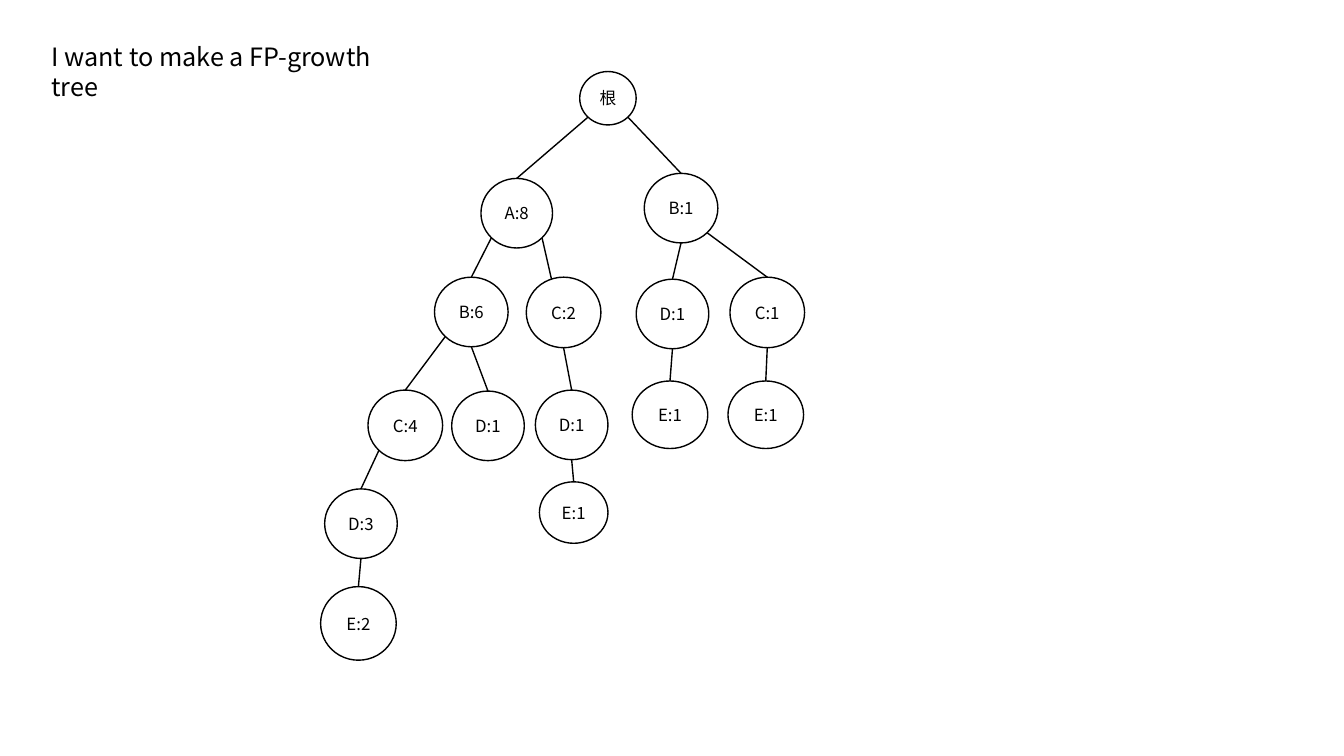
from dataclasses import dataclass
from math import cos, pi, sin
from typing import Optional

from lxml.etree import SubElement
from pptx import Presentation
from pptx.dml.color import RGBColor
from pptx.enum.shapes import MSO_CONNECTOR, MSO_SHAPE
from pptx.enum.text import MSO_ANCHOR, MSO_AUTO_SIZE, PP_ALIGN
from pptx.oxml.ns import qn
from pptx.shapes.autoshape import Shape
from pptx.slide import Slide
from pptx.text.text import TextFrame
from pptx.util import Inches, Pt


@dataclass(frozen=True)
class Theme:
    """Colours, font and type sizes of the slide."""
    ink: RGBColor = RGBColor(0, 0, 0)
    paper: RGBColor = RGBColor(255, 255, 255)
    font: str = "Noto Sans CJK SC"
    title: Pt = Pt(18)
    label: Pt = Pt(12)
    line: Pt = Pt(1)


@dataclass(frozen=True)
class Node:
    """A tree node, the site its edge leaves the parent from, and its children."""
    label: str
    left: float
    top: float
    site: int = 4
    kids: tuple["Node", ...] = ()
    size: Optional[tuple[float, float]] = None
    land: Optional[tuple[float, float]] = None


THEME = Theme()
TOP, LEFT, RIGHT = 0, 3, 5
SIZES = {"A": (0.71, 0.69), "B": (0.73, 0.69), "C": (0.74, 0.7),
         "D": (0.72, 0.69), "E": (0.75, 0.67)}

TREE = Node("根", 5.75, 0.71, size=(0.56, 0.53), kids=(
    Node("A:8", 4.77, 1.77, LEFT, (
        Node("B:6", 4.31, 2.75, LEFT, (
            Node("C:4", 3.65, 3.87, LEFT, (
                Node("D:3", 3.22, 4.85, LEFT, (
                    Node("E:2", 3.18, 5.82, size=(0.75, 0.73)),)),)),
            Node("D:1", 4.48, 3.88))),
        Node("C:2", 5.22, 2.75, RIGHT, (
            Node("D:1", 5.31, 3.87, kids=(
                Node("E:1", 5.35, 4.78, size=(0.68, 0.61)),)),),
            land=(5.47, 2.77)))),
    Node("B:1", 6.39, 1.72, RIGHT, (
        Node("D:1", 6.31, 2.77, kids=(Node("E:1", 6.27, 3.78),)),
        Node("C:1", 7.24, 2.75, RIGHT, (Node("E:1", 7.22, 3.78),))))))


def style(frame: TextFrame, size: Pt, align: PP_ALIGN) -> None:
    """Format the paragraphs and runs of a text frame."""
    for para in frame.paragraphs:
        para.alignment = align
        para.line_spacing = 1.0
        for run in para.runs:
            run.font.size = size
            run.font.name = THEME.font
            run.font.color.rgb = THEME.ink
            east = SubElement(run.font._element, qn("a:ea"))
            east.set("typeface", THEME.font)


def add_title(slide: Slide, text: str) -> None:
    """Place the title at the top left."""
    title = slide.shapes.title
    title.left, title.top = Inches(0.41), Inches(0.36)
    title.width, title.height = Inches(3.82), Inches(0.4)
    frame = title.text_frame
    frame.text = text
    frame.word_wrap = True
    frame.auto_size = MSO_AUTO_SIZE.SHAPE_TO_FIT_TEXT
    frame.vertical_anchor = MSO_ANCHOR.TOP
    style(frame, THEME.title, PP_ALIGN.LEFT)


def site_point(oval: Shape, site: int) -> tuple[int, int]:
    """Find a connection site, counted anticlockwise from the top."""
    turn = site * pi / 4
    return (round(oval.left + oval.width * (1 - sin(turn)) / 2),
            round(oval.top + oval.height * (1 - cos(turn)) / 2))


def add_edge(slide: Slide, start: Shape, end: Shape, node: Node) -> None:
    """Join a parent oval to the oval of its child."""
    goal = site_point(end, TOP)
    if node.land:
        goal = tuple(Inches(value) for value in node.land)
    edge = slide.shapes.add_connector(
        MSO_CONNECTOR.STRAIGHT, *site_point(start, node.site), *goal)
    edge.line.color.rgb = THEME.ink
    edge.line.width = THEME.line
    SubElement(edge._element.spPr, qn("a:effectLst"))
    glue = edge._element.find(".//" + qn("p:cNvCxnSpPr"))
    ends = [("a:stCxn", start, node.site)]
    if not node.land:
        ends.append(("a:endCxn", end, TOP))
    for tag, oval, site in ends:
        SubElement(glue, qn(tag), id=str(oval.shape_id), idx=str(site))


def add_node(slide: Slide, node: Node) -> Shape:
    """Draw a node, then its children and the edges to them."""
    width, height = node.size or SIZES[node.label[0]]
    oval = slide.shapes.add_shape(
        MSO_SHAPE.OVAL, Inches(node.left), Inches(node.top),
        Inches(width), Inches(height))
    oval.shadow.inherit = False
    oval.fill.solid()
    oval.fill.fore_color.rgb = THEME.paper
    oval.line.color.rgb = THEME.ink
    oval.line.width = THEME.line
    frame = oval.text_frame
    frame.text = node.label
    frame.word_wrap = False
    frame.vertical_anchor = MSO_ANCHOR.MIDDLE
    style(frame, THEME.label, PP_ALIGN.CENTER)
    for kid in node.kids:
        add_edge(slide, oval, add_node(slide, kid), kid)
    return oval


def main() -> None:
    """Build and save the slide."""
    deck = Presentation()
    deck.slide_width, deck.slide_height = Inches(13.33), Inches(7.5)
    slide = deck.slides.add_slide(deck.slide_layouts[5])
    add_title(slide, "I want to make a FP-growth tree")
    add_node(slide, TREE)
    deck.save("out.pptx")


main()
